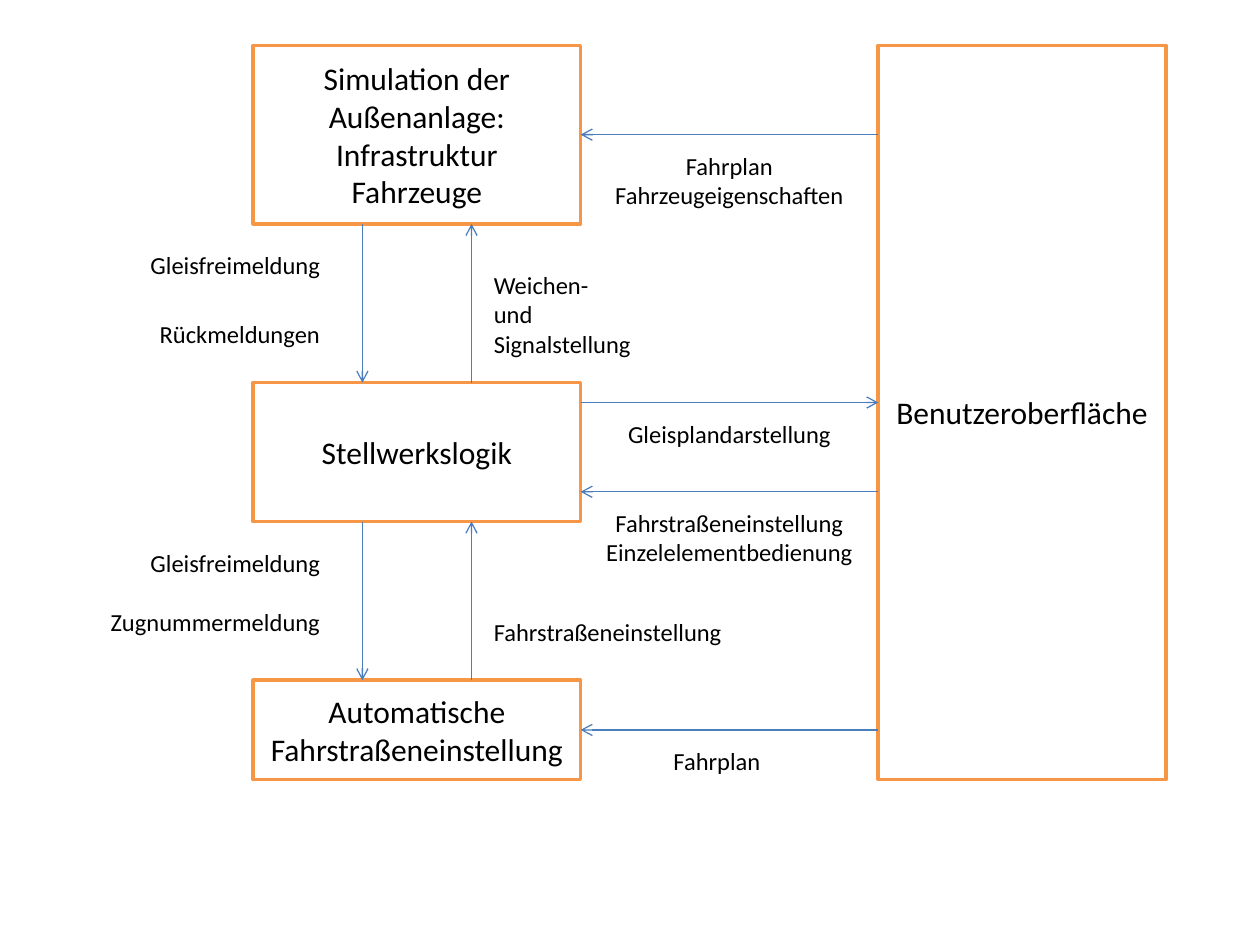
from lxml import etree
from pptx import Presentation
from pptx import util as u
from pptx.dml.color import RGBColor
from pptx.enum import shapes, text
from pptx.oxml import ns

THEME = {
    "font": "Calibri", "box_size": 18, "label_size": 14,
    "ink": RGBColor(0, 0, 0), "paper": RGBColor(255, 255, 255),
    "frame": RGBColor(0xF7, 0x96, 0x46), "arrow": RGBColor(0x4B, 0x7E, 0xBC),
    "frame_width": 2, "arrow_width": 0.75,
}

# All positions are columns and rows of a 2 mm grid.
MODULE = u.Mm(2)
LEFT, TOP = u.Inches(2.01), u.Inches(0.36)

MODULES, GUI = (0, 33), (63, 92)          # column spans of the boxes
SIMULATION, LOGIC, ROUTES = (0, 18), (34, 48), (64, 74)
DOWN, UP = 11, 22                         # columns of the vertical arrows

BOXES = [  # columns, rows, lines
    (MODULES, SIMULATION, ["Simulation der Außenanlage:", "Infrastruktur", "Fahrzeuge"]),
    (MODULES, LOGIC, ["Stellwerkslogik"]),
    (MODULES, ROUTES, ["Automatische", "Fahrstraßeneinstellung"]),
    (GUI, (SIMULATION[0], ROUTES[1]), ["Benutzeroberfläche"]),
]

VERTICAL = [  # column, from row, to row
    (column, *rows)
    for upper, lower in [(SIMULATION, LOGIC), (LOGIC, ROUTES)]
    for column, rows in [(DOWN, (upper[1], lower[0])), (UP, (lower[0], upper[1]))]
]
HORIZONTAL = [  # row, from column, to column
    (9, GUI[0], MODULES[1]),
    (36, MODULES[1], GUI[0]),
    (45, GUI[0], MODULES[1]),
    (69, GUI[0], MODULES[1]),
]

SIDES = {  # alignment, share of the width left of the reference column
    "left": (text.PP_ALIGN.LEFT, 0),
    "centre": (text.PP_ALIGN.CENTER, 0.5),
    "right": (text.PP_ALIGN.RIGHT, 1),
}
LABELS = [  # side, reference column, row, width in columns, lines
    ("right", 8, 20, 20, ["Gleisfreimeldung"]),
    ("right", 8, 27, 19, ["Rückmeldungen"]),
    ("left", 23, 22, 16.5, ["Weichen- und", "Signalstellung"]),
    ("right", 8, 50, 20, ["Gleisfreimeldung"]),
    ("right", 8, 56, 24, ["Zugnummermeldung"]),
    ("left", 23, 57, 26, ["Fahrstraßeneinstellung"]),
    ("centre", 48, 10, 26, ["Fahrplan", "Fahrzeugeigenschaften"]),
    ("centre", 48, 37, 23, ["Gleisplandarstellung"]),
    ("centre", 48, 46, 28, ["Fahrstraßeneinstellung", "Einzelelementbedienung"]),
    ("centre", 46.75, 70, 11.5, ["Fahrplan"]),
]


def x(column):
    return round(LEFT + column * MODULE)


def y(row):
    return round(TOP + row * MODULE)


def write(frame, lines, size, align, **format_values):
    for name, value in format_values.items():
        setattr(frame, name, value)
    for index, line in enumerate(lines):
        para = frame.add_paragraph() if index else frame.paragraphs[0]
        para.alignment = align
        span = para.add_run()
        span.text = line
        for name, value in {"name": THEME["font"], "size": u.Pt(size)}.items():
            setattr(span.font, name, value)
        span.font.color.rgb = THEME["ink"]


def add_box(page, columns, rows, lines):
    box = page.shapes.add_shape(
        shapes.MSO_SHAPE.RECTANGLE, x(columns[0]), y(rows[0]),
        x(columns[1]) - x(columns[0]), y(rows[1]) - y(rows[0]))
    box.shadow.inherit = False
    box.fill.solid()
    box.fill.fore_color.rgb = THEME["paper"]
    box.line.color.rgb = THEME["frame"]
    box.line.width = u.Pt(THEME["frame_width"])
    write(box.text_frame, lines, THEME["box_size"], text.PP_ALIGN.CENTER,
          word_wrap=True, vertical_anchor=text.MSO_ANCHOR.MIDDLE)


def add_arrow(page, start, end):
    arrow = page.shapes.add_connector(
        shapes.MSO_CONNECTOR.STRAIGHT, x(start[0]), y(start[1]), x(end[0]), y(end[1]))
    arrow.line.color.rgb = THEME["arrow"]
    arrow.line.width = u.Pt(THEME["arrow_width"])
    etree.SubElement(arrow.line._get_or_add_ln(), ns.qn("a:tailEnd"), type="arrow")
    etree.SubElement(arrow._element.spPr, ns.qn("a:effectLst"))


def add_label(page, side, column, row, width, lines):
    align, share = SIDES[side]
    height = u.Inches(0.1 + 0.24 * len(lines))
    label = page.shapes.add_textbox(
        x(column - share * width), y(row), round(width * MODULE), height)
    write(label.text_frame, lines, THEME["label_size"], align,
          word_wrap=False, auto_size=text.MSO_AUTO_SIZE.SHAPE_TO_FIT_TEXT)


def main():
    deck = Presentation()
    deck.slide_width, deck.slide_height = u.Inches(10), u.Inches(7.5)
    page = deck.slides.add_slide(deck.slide_layouts[6])
    for box in BOXES:
        add_box(page, *box)
    for column, start, end in VERTICAL:
        add_arrow(page, (column, start), (column, end))
    for row, start, end in HORIZONTAL:
        add_arrow(page, (start, row), (end, row))
    for label in LABELS:
        add_label(page, *label)
    deck.save("out.pptx")


if __name__ == "__main__":
    main()
